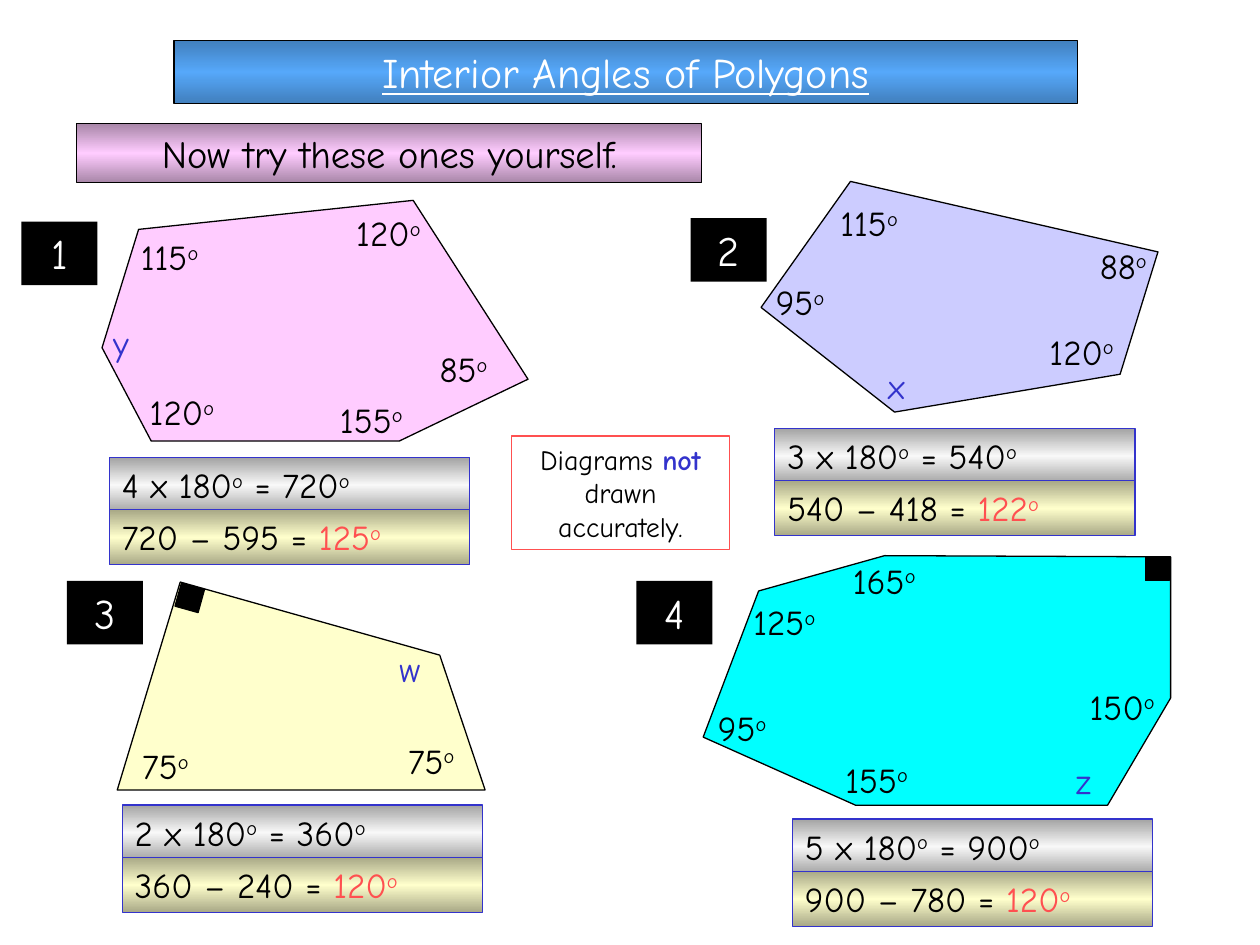
from copy import deepcopy
from pptx import Presentation
from pptx.dml.color import RGBColor
from pptx.enum.shapes import MSO_SHAPE
from pptx.enum.text import MSO_ANCHOR, MSO_AUTO_SIZE, PP_ALIGN
from pptx.oxml.ns import qn
from pptx.util import Pt

COLORS = {
    "black": "000000", "white": "FFFFFF", "blue": "3333CC", "red": "FF5050",
    "pink": "FFCCFF", "lilac": "CCCCFF", "cream": "FFFFCC", "cyan": "00FFFF",
    "title": ("417FBD", "56A8FA"), "task": ("A886A8", "FFCCFF"),
    "sum": ("A3A3A3", "F8F8F8"), "result": ("A8A886", "FFFFCC"),
}
FONT = "Comic Neue"
ROW = 29.9       # step between the two answer rows
SQUARE = 13.7    # side of a right-angle mark

# Angles are (value or letter, x, y); points are relative to the box
PUZZLES = [
    {"box": (58.3, 114.5), "fill": "pink", "badge": (-46.1, 12.2), "answer": (4.3, 146.9),
     "points": [(28.1, 137.5), (169.9, 137.5), (243.4, 102.2), (177.8, 0),
                (20.9, 16.6), (0, 84.2)],
     "angles": [("y", -0.7, 65.5), (120, 20.2, 105.1), (115, 15.1, 16.6),
                (85, 185.8, 80.6), (120, 138.2, 2.9), (155, 128.9, 109.4)]},
    {"box": (434.9, 103.7), "fill": "lilac", "badge": (-40.3, 20.9), "answer": (7.9, 141.1),
     "points": [(76.3, 131.8), (205.2, 110.2), (226.8, 40.3), (51.1, 0), (0, 72)],
     "angles": [("x", 65.5, 100.8), (120, 157.7, 81.4), (115, 38.2, 7.9),
                (95, 1.4, 53.3), (88, 186.5, 32.4)]},
    {"box": (67, 332.6), "fill": "cream", "badge": (-28.8, -0.7), "answer": (2.9, 127.4),
     "points": [(0, 118.8), (210.2, 118.8), (184.3, 41.8), (36, 0)],
     "angles": [(75, 159.1, 86.4), (75, 7.2, 89.3), ("w", 154.1, 33.8)],
     "corner": (34.6, 2.2, 15.6)},
    {"box": (401.8, 317.5), "fill": "cyan", "badge": (-38.2, 14.4), "answer": (51.1, 150.5),
     "points": [(87.1, 142.6), (231.1, 142.6), (267.1, 81.4), (267.1, 0.7),
                (103.7, 0), (31.7, 20.2), (0, 103.7)],
     "angles": [("z", 205.9, 113), (155, 74.2, 112.3), (95, 1.4, 82.8),
                (125, 21.6, 22.3), (165, 78.5, -1.4), (150, 213.8, 70.6)],
     "corner": (252.7, 0.7, 0)},
]


def rgb(name):
    return RGBColor.from_string(COLORS[name])


def paint(shape, fill=None, line=None):
    """Set a plain or three-stop fill and the outline."""
    shape.shadow.inherit = False
    if fill is None:
        shape.fill.background()
    elif isinstance(COLORS[fill], tuple):
        shape.fill.gradient()
        shape.fill.gradient_angle = 90
        stops = shape.fill.gradient_stops
        for stop, tone, place in zip(stops, COLORS[fill], (0, 0.5)):
            stop.color.rgb = RGBColor.from_string(tone)
            stop.position = place
        group = shape._element.spPr.find(qn("a:gradFill")).find(qn("a:gsLst"))
        last = deepcopy(group[0])
        last.set("pos", "100000")
        group.append(last)
    else:
        shape.fill.solid()
        shape.fill.fore_color.rgb = rgb(fill)
    if line:
        shape.line.color.rgb = rgb(line)
        shape.line.width = Pt(0.75)
    else:
        shape.line.fill.background()


def write(shape, runs, size=20, align=PP_ALIGN.LEFT):
    """Fill a shape with runs of (text, colour, extra format)."""
    frame = shape.text_frame
    form = {"word_wrap": True, "vertical_anchor": MSO_ANCHOR.TOP,
            "auto_size": MSO_AUTO_SIZE.SHAPE_TO_FIT_TEXT}
    for key, value in form.items():
        setattr(frame, key, value)
    para = frame.paragraphs[0]
    para.alignment = align
    for text, color, extra in runs:
        run = para.add_run()
        run.text = text
        run.font.color.rgb = rgb(color)
        style = {"name": FONT, "size": Pt(size), **extra}
        raised = style.pop("raised", False)
        for key, value in style.items():
            setattr(run.font, key, value)
        if raised:
            run._r.get_or_add_rPr().set("baseline", "30000")


def degrees(text, color="black"):
    return [(text, color, {}), ("o", color, {"raised": True})]


def rect(slide, box, fill=None, line=None):
    shape = slide.shapes.add_shape(MSO_SHAPE.RECTANGLE, *map(Pt, box))
    paint(shape, fill, line)
    return shape


def banner(slide, box, fill, line, runs, size):
    write(rect(slide, box, fill, line), runs, size, PP_ALIGN.CENTER)


def answer(slide, x, y, sides, known):
    """Angle sum above, missing angle below."""
    total = 180 * (sides - 2)
    rows = [
        ("sum", degrees(f"{sides - 2} x 180") + degrees(f" = {total}")),
        ("result", [(f"{total} – {known} = ", "black", {})]
         + degrees(str(total - known), "red")),
    ]
    for i, (fill, runs) in enumerate(rows):
        write(rect(slide, (x, y + i * ROW, 205.9, 31.5), fill, "blue"), runs)


def puzzle(slide, number, data):
    x, y = data["box"]

    # Polygon
    points = [(Pt(x + dx), Pt(y + dy)) for dx, dy in data["points"]]
    build = slide.shapes.build_freeform(*points[0])
    build.add_line_segments(points[1:], close=True)
    paint(build.convert_to_shape(), data["fill"], "black")

    # Right-angle mark
    known = 0
    if "corner" in data:
        dx, dy, turn = data["corner"]
        mark = rect(slide, (x + dx, y + dy, SQUARE, SQUARE), "black", "black")
        mark.rotation = turn
        known = 90

    # Angle labels
    for value, dx, dy in data["angles"]:
        given = isinstance(value, int)
        known += value if given else 0
        box = (x + dx, y + dy, 66 if given else 39, 31.5)
        label = slide.shapes.add_textbox(*map(Pt, box))
        write(label, degrees(str(value)) if given else [(value, "blue", {})])

    # Number badge and worked answer
    dx, dy = data["badge"]
    banner(slide, (x + dx, y + dy, 43.5, 36.3), "black", None,
           [(str(number), "white", {})], 24)
    dx, dy = data["answer"]
    answer(slide, x + dx, y + dy, len(points), known)


def main():
    deck = Presentation()
    deck.slide_width, deck.slide_height = Pt(720), Pt(540)
    slide = deck.slides.add_slide(deck.slide_layouts[6])

    # Headings
    banner(slide, (99.4, 23, 516.2, 36.3), "title", "black",
           [("Interior Angles of Polygons", "white", {"underline": True})], 24)
    banner(slide, (43.9, 70.6, 357.1, 33.9), "task", "black",
           [("Now try these ones yourself.", "black", {})], 22)

    for number, data in enumerate(PUZZLES, 1):
        puzzle(slide, number, data)

    # Note
    banner(slide, (292.3, 249.1, 124.6, 64.8), None, "red",
           [("Diagrams ", "black", {}), ("not ", "blue", {"bold": True}),
            ("drawn accurately.", "black", {})], 16)

    deck.save("out.pptx")


if __name__ == "__main__":
    main()
